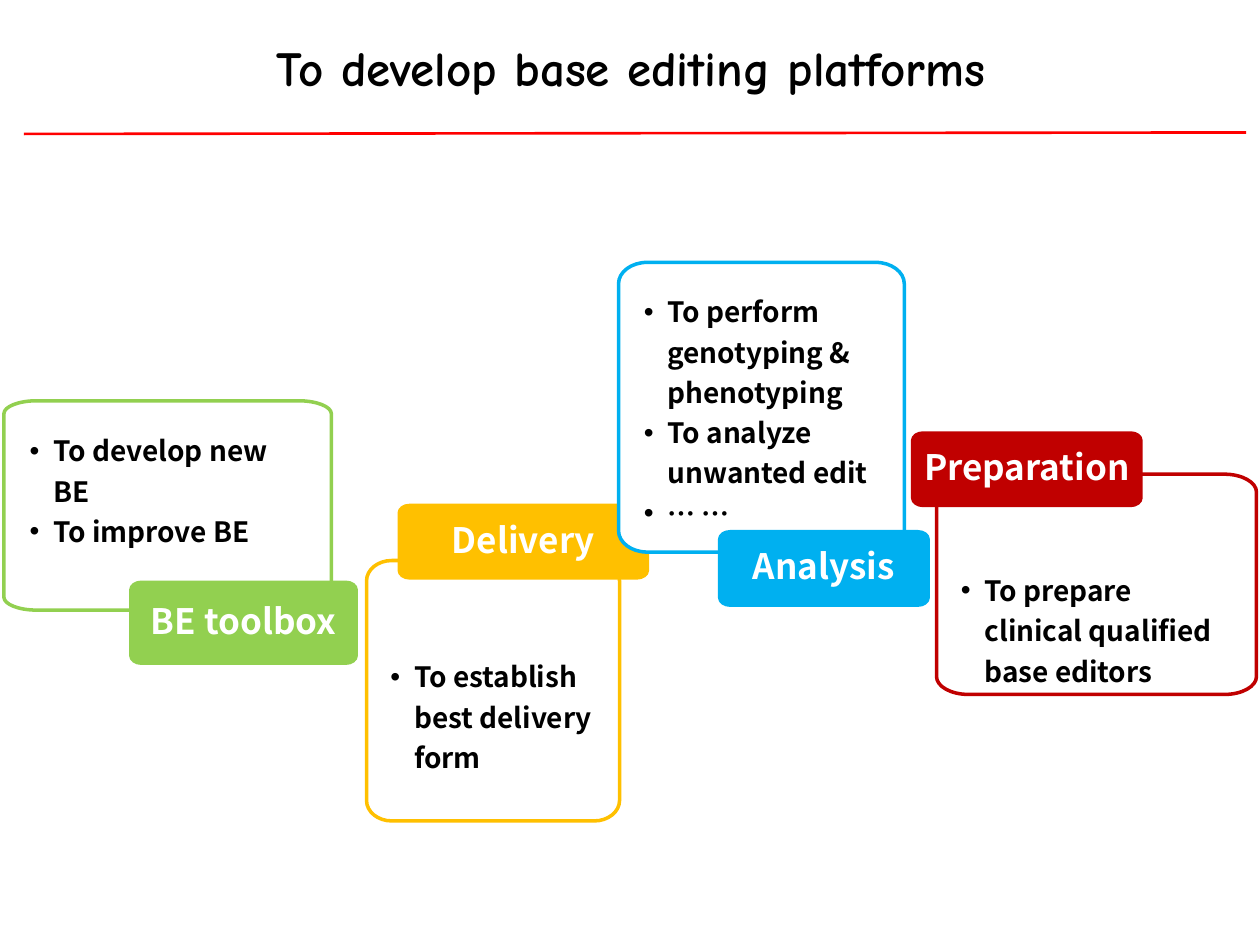
import pptx
import pptx.dml.color
import pptx.enum.shapes
import pptx.enum.text
import pptx.oxml
import pptx.oxml.ns
import pptx.util

Cm, Pt = pptx.util.Cm, pptx.util.Pt
RGB = pptx.dml.color.RGBColor.from_string
ALIGN, ANCHOR = pptx.enum.text.PP_ALIGN, pptx.enum.text.MSO_ANCHOR
NS = pptx.oxml.ns.nsdecls("a")
qn = pptx.oxml.ns.qn

TITLE = "To develop base editing platforms"

# Boxes are left, top, width, height and insets left, top, right, bottom, in cm.
STEPS = [
    dict(name="BE toolbox", color="92D050",
         items=["To develop new BE", "To improve BE"],
         panel=(0.08, 8.08, 6.6, 4.22), corner=0.26,
         insets=(0.52, 0.53, 0.53, 2.74), tag=(2.64, 11.74, 4.54, 1.63)),
    dict(name="Delivery", color="FFC000",
         items=["To establish best delivery form"],
         panel=(7.39, 11.3, 5.1, 5.25), corner=0.41,
         insets=(0.48, 1.87, 0.48, 0.48), tag=(8.05, 10.19, 5, 1.46)),
    dict(name="Analysis", color="00B0F0",
         items=["To perform genotyping & phenotyping",
                "To analyze unwanted edit", "… …"],
         panel=(12.47, 5.29, 5.76, 5.84), corner=0.43,
         insets=(0.51, 0.52, 0.51, 2.16), tag=(14.51, 10.72, 4.2, 1.48)),
    dict(name="Preparation", color="C00000",
         items=["To prepare clinical qualified base editors"],
         panel=(18.88, 9.56, 6.45, 4.44), corner=0.36,
         insets=(0.49, 1.87, 0.48, 0.48), tag=(18.4, 8.73, 4.6, 1.46)),
]

THEME = dict(
    rule="FF0000", panel="FFFFFF", outline=Pt(2), bullet="Arial",
    title=dict(name="Comic Neue", size=Pt(28), bold=True, color="000000"),
    item=dict(name="Noto Sans CJK SC", size=Pt(16), bold=True, color="000000"),
    tag=dict(name="Noto Sans CJK SC", size=Pt(20), bold=True, color="FFFFFF"),
)
TAG_CORNER = (0.21, 0.15)
TAG_INSETS = (0.18, 0.15, 0.18, 0.15)
BULLET_INDENT = Cm(0.48)
ARC = 0.55  # control-point distance of a quarter ellipse


def set_attrs(obj, **values):
    for key, value in values.items():
        setattr(obj, key, value)


def add_run(p, text, style):
    r = p.add_run()
    r.text = text
    set_attrs(r.font, **{k: v for k, v in style.items() if k != "color"})
    r.font.color.rgb = RGB(style["color"])
    r._r.get_or_add_rPr().append(
        pptx.oxml.parse_xml(f'<a:ea {NS} typeface="{style["name"]}"/>'))


def add_bullet(p):
    pPr = p._p.get_or_add_pPr()
    pPr.set("marL", str(BULLET_INDENT))
    pPr.set("indent", str(-BULLET_INDENT))
    for xml in (f'<a:buFont {NS} typeface="{THEME["bullet"]}"/>',
                f'<a:buChar {NS} char="•"/>'):
        pPr.append(pptx.oxml.parse_xml(xml))


def round_corners(sp):
    """Turn each second segment of the outline into a quarter ellipse."""
    path = sp._element.spPr.find(".//" + qn("a:path"))
    ends = [(int(pt.get("x")), int(pt.get("y"))) for pt in path.iter(qn("a:pt"))]
    segments = path.findall(qn("a:lnTo"))
    for i in range(0, 8, 2):
        (x0, y0), (x1, y1) = ends[i:i + 2]
        # Odd corners leave a side, even corners leave the top or bottom.
        cx, cy = (x0, y1) if i % 4 == 0 else (x1, y0)
        points = [(round(x + (cx - x) * ARC), round(y + (cy - y) * ARC))
                  for x, y in ((x0, y0), (x1, y1))] + [(x1, y1)]
        pts = "".join(f'<a:pt x="{x}" y="{y}"/>' for x, y in points)
        path.replace(segments[i], pptx.oxml.parse_xml(
            f"<a:cubicBezTo {NS}>{pts}</a:cubicBezTo>"))


def add_box(s, box, corner, fill, line):
    left, top, width, height = box
    rx, ry = corner
    right, bottom = left + width, top + height
    outline = [(left, top + ry), (left + rx, top),
               (right - rx, top), (right, top + ry),
               (right, bottom - ry), (right - rx, bottom),
               (left + rx, bottom), (left, bottom - ry), (left, top + ry)]
    points = [(Cm(x), Cm(y)) for x, y in outline]
    builder = s.shapes.build_freeform(*points[0])
    builder.add_line_segments(points[1:], close=True)
    sp = builder.convert_to_shape()
    # Segments 1 and 5 leave a vertical side, 3 and 7 a horizontal one.
    round_corners(sp)
    sp.shadow.inherit = False
    sp.fill.solid()
    sp.fill.fore_color.rgb = RGB(fill)
    sp.line.color.rgb = RGB(line)
    sp.line.width = THEME["outline"]
    return sp


def set_frame(tf, insets, anchor):
    sides = ("margin_left", "margin_top", "margin_right", "margin_bottom")
    set_attrs(tf, word_wrap=True, vertical_anchor=anchor,
              **{side: Cm(v) for side, v in zip(sides, insets)})


def add_panel(s, step):
    corner = (step["panel"][2] / 10, step["corner"])
    sp = add_box(s, step["panel"], corner, THEME["panel"], step["color"])
    tf = sp.text_frame
    set_frame(tf, step["insets"], ANCHOR.TOP)
    for i, item in enumerate(step["items"]):
        p = tf.add_paragraph() if i else tf.paragraphs[0]
        set_attrs(p, alignment=ALIGN.LEFT, line_spacing=1.2)
        add_bullet(p)
        add_run(p, item, THEME["item"])


def add_tag(s, step):
    sp = add_box(s, step["tag"], TAG_CORNER, step["color"], step["color"])
    set_frame(sp.text_frame, TAG_INSETS, ANCHOR.MIDDLE)
    p = sp.text_frame.paragraphs[0]
    set_attrs(p, alignment=ALIGN.CENTER, line_spacing=0.9)
    add_run(p, step["name"], THEME["tag"])


def add_heading(s):
    title = s.shapes.title
    set_attrs(title, left=Cm(0.02), top=Cm(0.62), width=Cm(25.4), height=Cm(1.45))
    set_frame(title.text_frame, (0.25, 0.13, 0.25, 0.13), ANCHOR.TOP)
    p = title.text_frame.paragraphs[0]
    p.alignment = ALIGN.CENTER
    add_run(p, TITLE, THEME["title"])

    rule = s.shapes.add_connector(pptx.enum.shapes.MSO_CONNECTOR.STRAIGHT,
                                  Cm(0.48), Cm(2.7), Cm(25.12), Cm(2.67))
    rule.line.color.rgb = RGB(THEME["rule"])
    rule.line.width = Pt(1.5)
    rule._element.spPr.append(pptx.oxml.parse_xml(f"<a:effectLst {NS}/>"))


def main():
    prs = pptx.Presentation()
    set_attrs(prs, slide_width=Cm(25.4), slide_height=Cm(19.05))
    s = prs.slides.add_slide(prs.slide_layouts[5])
    add_heading(s)
    for step in STEPS:
        add_panel(s, step)
        add_tag(s, step)
    prs.save("out.pptx")


if __name__ == "__main__":
    main()
